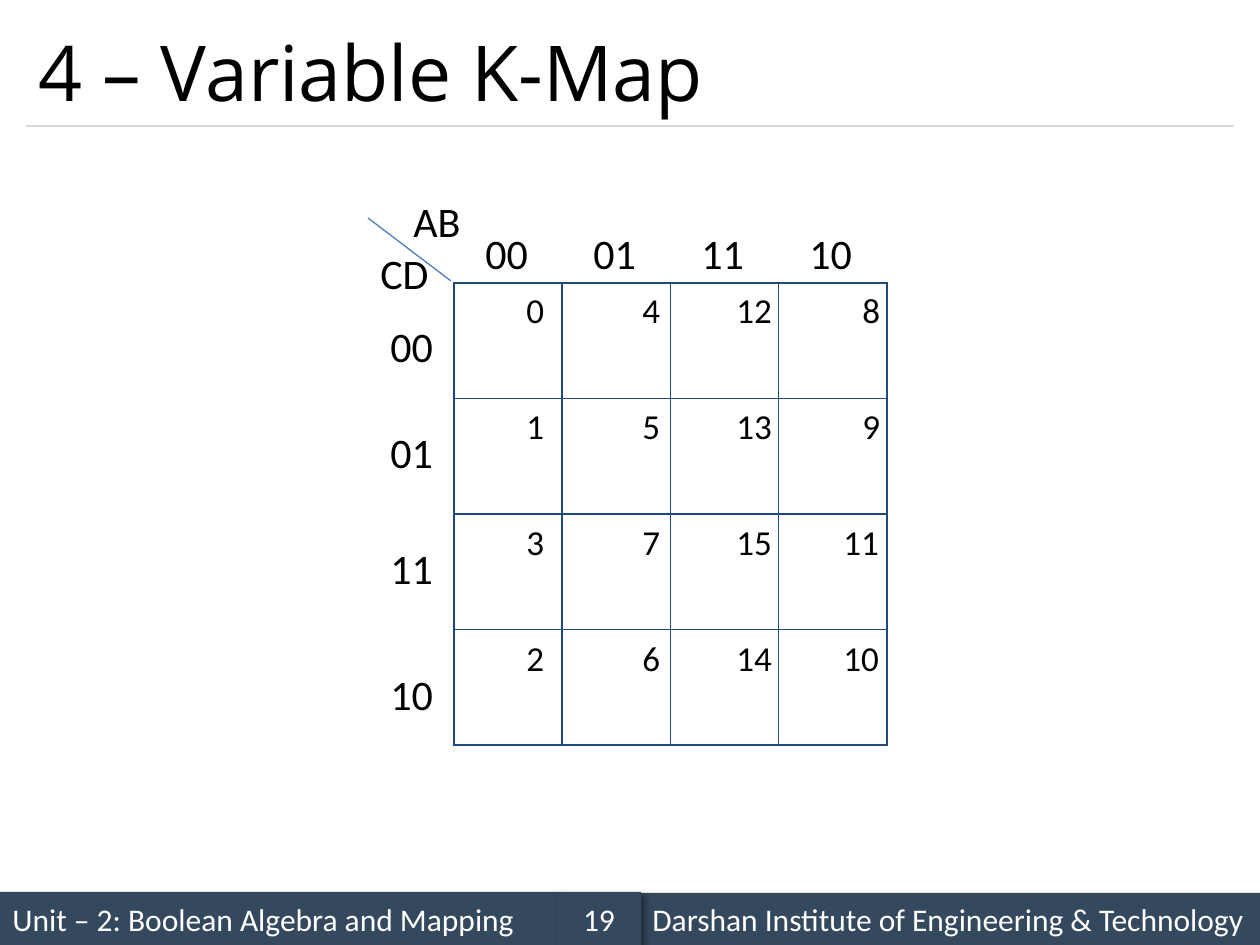
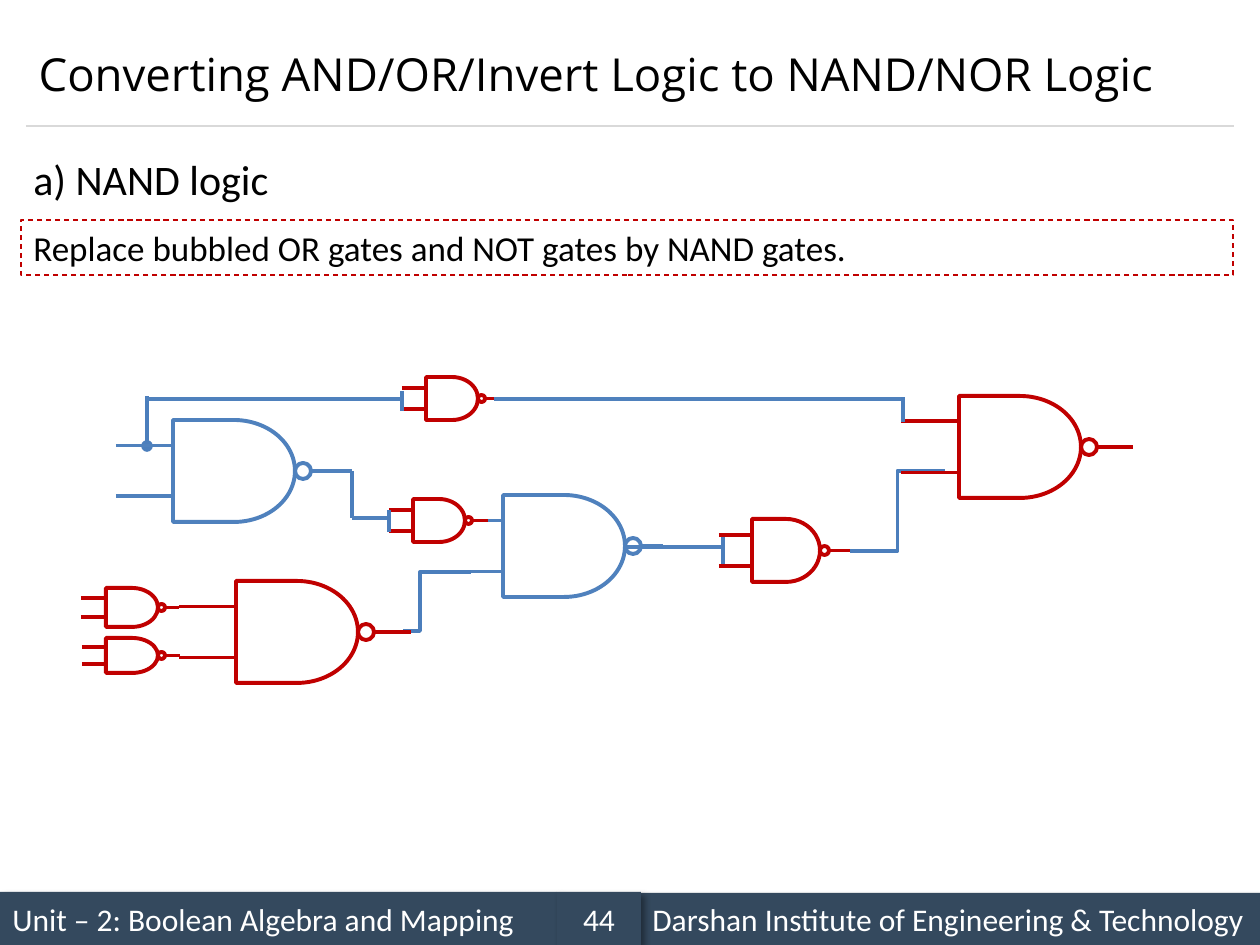
from collections import namedtuple

from pptx import Presentation
from pptx.dml.color import RGBColor
from pptx.enum.dml import MSO_LINE
from pptx.enum.shapes import MSO_CONNECTOR, MSO_SHAPE
from pptx.enum.text import MSO_ANCHOR, MSO_AUTO_SIZE, PP_ALIGN
from pptx.oxml.ns import qn
from pptx.oxml.xmlchemy import OxmlElement
from pptx.util import Emu, Pt

PX_PER_INCH = 126
BLACK, WHITE, BAND, RULE = "000000", "FFFFFF", "34495E", "D9D9D9"
GRID, RED, BLUE, LINK = "1F497D", "C00000", "4F81BD", "4B7EBC"
GRAY_CODE = (0, 1, 3, 2)
WIRE_POINTS = 2.25

Gate = namedtuple("Gate", "left top width height lead_in lead_out color fill")

GATES = (
    Gate(503, 495, 122, 102, 471, 663, BLUE, None),
    Gate(236, 581, 122, 102, 179, 411, RED, None),
    Gate(959, 396, 122, 102, 901, 1133, RED, None),
    Gate(752, 519, 68, 63, 719, 850, RED, None),
    Gate(173, 420, 122, 102, 116, 352, BLUE, None),
    Gate(426, 377, 52, 43, 402, 500, RED, WHITE),
    Gate(413, 499, 52, 43, 389, 488, RED, WHITE),
    Gate(106, 588, 52, 39, 81, 179, RED, WHITE),
    Gate(106, 638, 52, 35, 82, 180, RED, WHITE),
)

WIRES = {
    LINK: (
        (389, 510, 389, 532),
        (352, 518, 352, 471),
        (402, 391, 402, 411),
        (723, 537, 723, 564),
        (903, 422, 903, 397),
    ),
    BLUE: (
        (352, 518, 387, 518),
        (626, 547, 721, 547),
        (146, 399, 401, 399),
        (494, 399, 901, 399),
    ),
}


def px(length):
    return Emu(round(length * 914400 / PX_PER_INCH))


def rgb(color):
    return RGBColor.from_string(color)


def child(parent, tag, **attributes):
    element = OxmlElement(tag)
    for key, value in attributes.items():
        element.set(key, str(value))
    parent.append(element)
    return element


def apply(target, values):
    for key, value in values.items():
        setattr(target, key, value)


def write(frame, text, size, color=BLACK, font="Calibri", align=PP_ALIGN.LEFT, **layout):
    apply(frame, {"word_wrap": True, **layout})
    paragraph = frame.paragraphs[0]
    paragraph.text = text
    paragraph.alignment = align
    apply(paragraph.font, {"size": Pt(size), "name": font})
    paragraph.font.color.rgb = rgb(color)


def add_label(slide, box, text, size, **layout):
    label = slide.shapes.add_textbox(*map(px, box))
    write(label.text_frame, text, size, **layout)


def add_outline(slide, preset, box, fill=None, line=None, weight=WIRE_POINTS):
    outline = slide.shapes.add_shape(preset, *map(px, box))
    outline.shadow.inherit = False
    if fill:
        outline.fill.solid()
        outline.fill.fore_color.rgb = rgb(fill)
    else:
        outline.fill.background()
    if line:
        outline.line.color.rgb = rgb(line)
        outline.line.width = Pt(weight)
    else:
        outline.line.fill.background()
    return outline


def add_wire(slide, ends, color, weight=WIRE_POINTS, kind=MSO_CONNECTOR.STRAIGHT):
    wire = slide.shapes.add_connector(kind, *map(px, ends))
    wire.line.color.rgb = rgb(color)
    wire.line.width = Pt(weight)
    child(wire._element.spPr, "a:effectLst")
    return wire


def add_elbow(slide, ends, bend):
    elbow = add_wire(slide, ends, LINK, kind=MSO_CONNECTOR.ELBOW)
    geometry = elbow._element.spPr.find(qn("a:prstGeom"))
    adjustments = geometry.find(qn("a:avLst"))
    if adjustments is None:
        adjustments = child(geometry, "a:avLst")
    child(adjustments, "a:gd", name="adj1", fmla=f"val {bend}")


def add_band(slide, box, text, align=PP_ALIGN.LEFT):
    band = add_outline(slide, MSO_SHAPE.RECTANGLE, box, fill=BAND)
    write(band.text_frame, text, 18, WHITE, align=align, vertical_anchor=MSO_ANCHOR.MIDDLE)
    effects = band._element.spPr.find(qn("a:effectLst"))
    shadow = child(effects, "a:outerShdw", blurRad=Pt(4), dist=Pt(3),
                   dir=45 * 60000, algn="tl", rotWithShape=0)
    shade = child(shadow, "a:srgbClr", val=BLACK)
    child(shade, "a:alpha", val=40000)


def add_page(deck, heading, size, number):
    slide = deck.slides.add_slide(deck.slide_layouts[5])
    title = slide.shapes.title
    bounds = zip(("left", "top", "width", "height"), map(px, (26, 15, 1208, 111)))
    apply(title, dict(bounds))
    write(title.text_frame, heading, size, font="Open Sans",
          vertical_anchor=MSO_ANCHOR.MIDDLE, auto_size=MSO_AUTO_SIZE.TEXT_TO_FIT_SHAPE)
    add_wire(slide, (26, 126, 1234, 126), RULE, 0.75)
    add_band(slide, (0, 892, 557, 53), "Unit – 2: Boolean Algebra and Mapping")
    add_band(slide, (640, 893, 620, 52), "Darshan Institute of Engineering & Technology")
    add_band(slide, (557, 892, 84, 53), number, PP_ALIGN.CENTER)
    return slide


def border_cell(cell):
    cell.fill.background()
    properties = cell._tc.get_or_add_tcPr()
    for index, side in enumerate(("a:lnL", "a:lnR", "a:lnT", "a:lnB")):
        edge = OxmlElement(side)
        edge.set("w", str(Pt(1)))
        child(child(edge, "a:solidFill"), "a:srgbClr", val=GRID)
        properties.insert(index, edge)


def add_grid(slide, box):
    grid = slide.shapes.add_table(4, 4, *map(px, box)).table
    apply(grid, {"first_row": False, "horz_banding": False})
    for cell in grid.iter_cells():
        border_cell(cell)


def add_kmap(slide):
    add_grid(slide, (454, 283, 433, 462))
    add_wire(slide, (451, 281, 368, 218), LINK, 0.75)
    add_label(slide, (401, 189, 73, 63), "AB", 24, word_wrap=False)
    add_label(slide, (368, 241, 74, 63), "CD", 24, word_wrap=False)
    row_label_tops = (314, 420, 536, 662)
    minterm_rights = (557, 673, 786, 893)
    for index, code in enumerate(GRAY_CODE):
        bits = f"{code:02b}"
        add_label(slide, (473 + 108 * index, 221, 68, 63), bits, 24, word_wrap=False)
        add_label(slide, (378, row_label_tops[index], 68, 63), bits, 24, word_wrap=False)
    for column, high in enumerate(GRAY_CODE):
        for row, low in enumerate(GRAY_CODE):
            minterm = str(4 * high + low)
            width = 43 if len(minterm) == 1 else 62
            box = (minterm_rights[column] - width, 282 + 116 * row, width, 55)
            add_label(slide, box, minterm, 20, word_wrap=False)


def add_gate(slide, gate):
    right = gate.left + gate.width
    middle = gate.top + gate.height / 2
    bubble = round(gate.width * 0.13)
    for share in (0.25, 0.75):
        level = gate.top + gate.height * share
        add_wire(slide, (gate.lead_in, level, gate.left, level), gate.color)
    add_wire(slide, (right + bubble, middle, gate.lead_out, middle), gate.color)
    add_outline(slide, MSO_SHAPE.OVAL, (right, middle - bubble / 2, bubble, bubble),
                line=gate.color)
    add_outline(slide, MSO_SHAPE.FLOWCHART_DELAY,
                (gate.left, gate.top, gate.width, gate.height), gate.fill, gate.color)


def add_circuit(slide):
    add_elbow(slide, (403, 631, 471, 572), 25000)
    add_elbow(slide, (850, 551, 945, 471), 50000)
    branch = add_wire(slide, (147, 446, 147, 396), LINK)
    child(branch.line._get_or_add_ln(), "a:headEnd", type="oval")
    for gate in GATES:
        add_gate(slide, gate)
    for color, routes in WIRES.items():
        for ends in routes:
            add_wire(slide, ends, color)


def main():
    deck = Presentation()
    apply(deck, {"slide_width": px(1260), "slide_height": px(945)})

    kmap = add_page(deck, "4 – Variable K-Map", 44, "19")
    add_kmap(kmap)

    nand = add_page(deck, "Converting AND/OR/Invert Logic to NAND/NOR Logic", 28, "44")
    add_label(nand, (21, 147, 1212, 63), "a) NAND logic", 24)
    rule = add_outline(nand, MSO_SHAPE.RECTANGLE, (21, 220, 1212, 55), line=RED, weight=0.75)
    rule.line.dash_style = MSO_LINE.DASH
    write(rule.text_frame, "Replace bubbled OR gates and NOT gates by NAND gates.", 20,
          vertical_anchor=MSO_ANCHOR.TOP)
    add_circuit(nand)

    deck.save("out.pptx")


if __name__ == "__main__":
    main()
